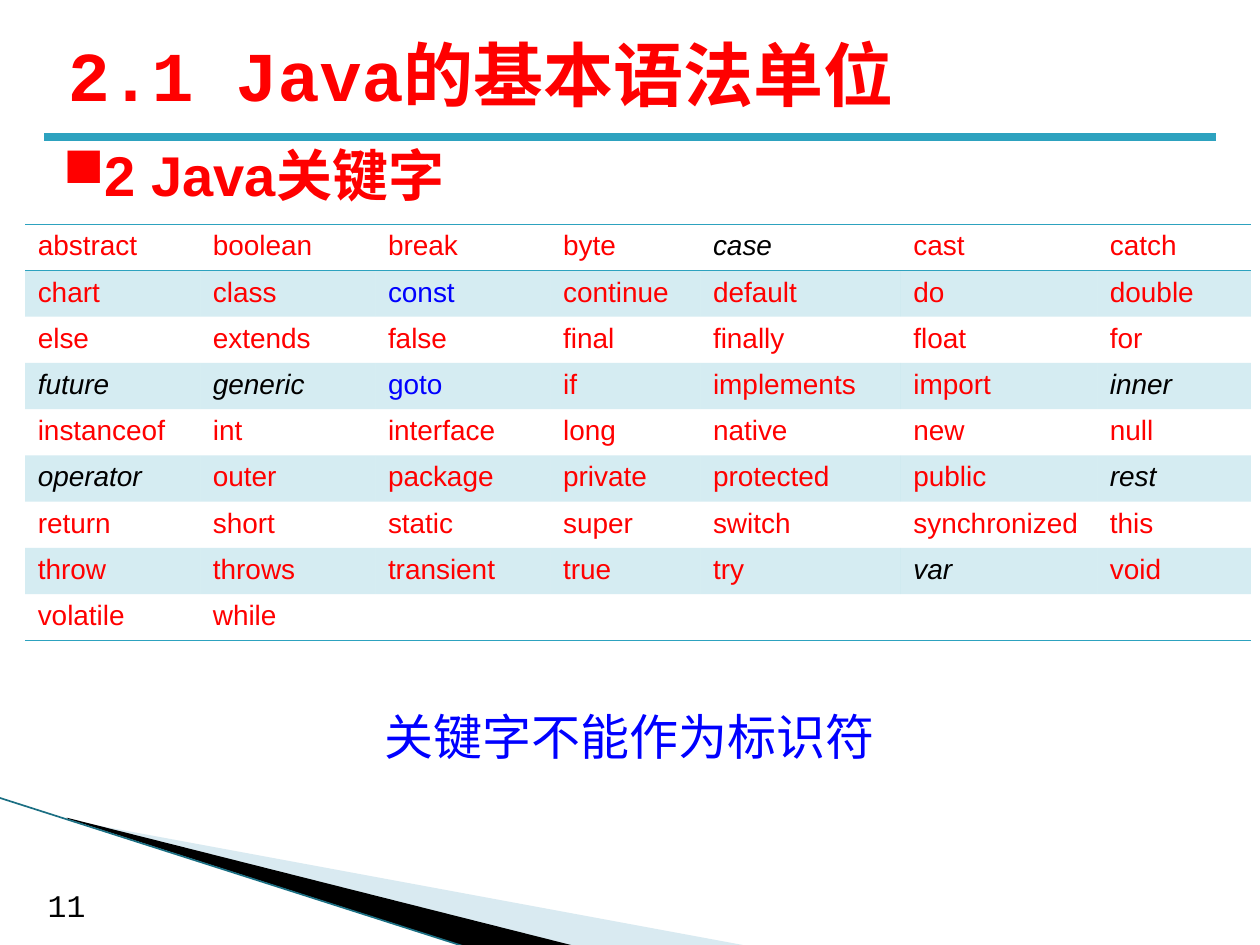
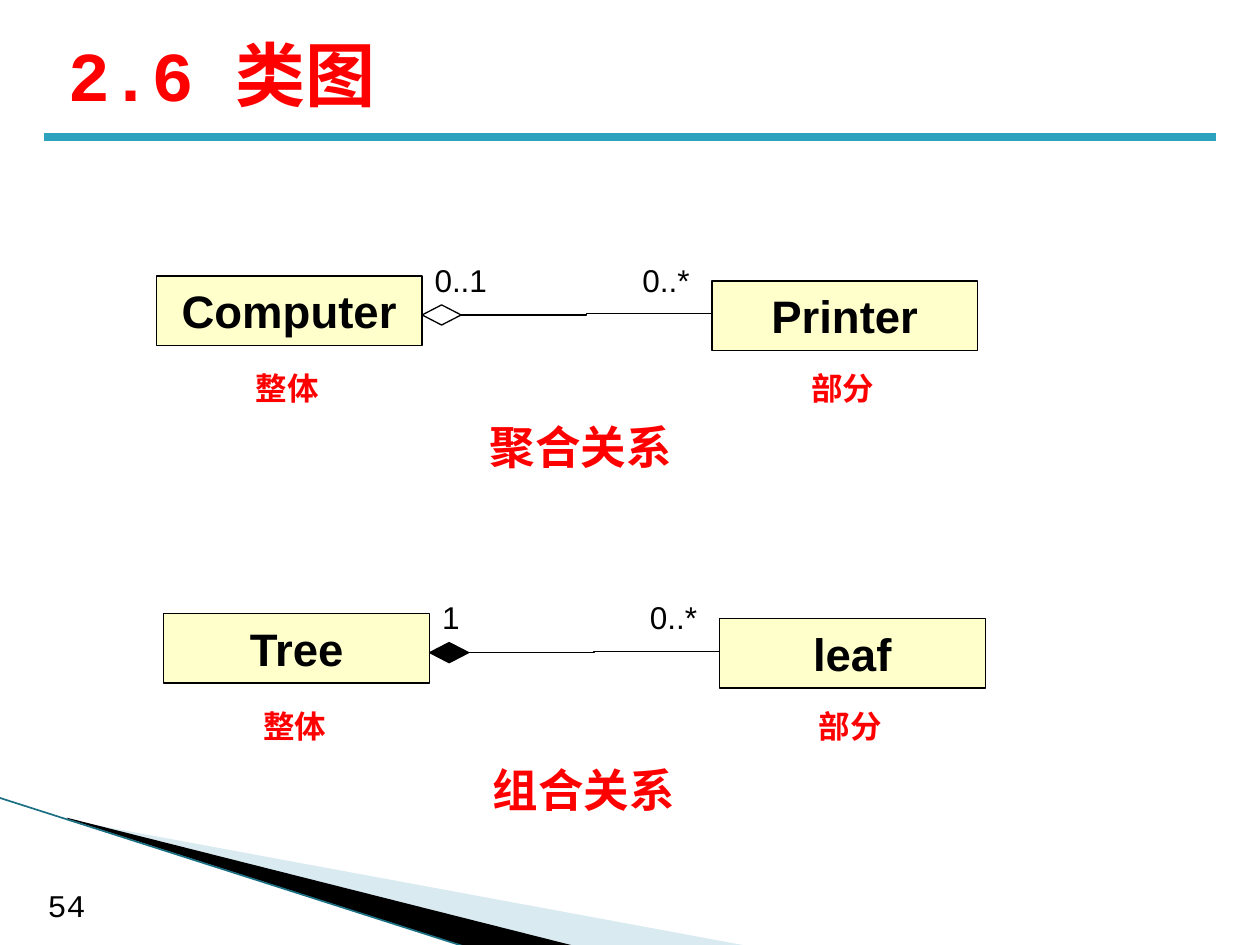
from lxml import etree
from pptx import Presentation
from pptx.dml.color import RGBColor
from pptx.enum import shapes, text
from pptx.oxml import ns
from pptx.util import Inches, Pt

RED, BLUE, BLACK, WHITE = "FF0000", "0000FF", "000000", "FFFFFF"
TEAL, DARK_TEAL, PALE_BLUE, CREAM = "2DA2BF", "1B6F83", "A0CBDC", "FFFFCC"
SANS, MONO = "Arial", "Courier New"
LEFT, CENTER = text.PP_ALIGN.LEFT, text.PP_ALIGN.CENTER
PLAIN_TABLE = "{2D5ABB26-0587-4C30-8999-92F81FD0307C}"

KEYWORDS = """
abstract boolean break byte case cast catch
chart class const continue default do double
else extends false final finally float for
future generic goto if implements import inner
instanceof int interface long native new null
operator outer package private protected public rest
return short static super switch synchronized this
throw throws transient true try var void
volatile while
"""
ITALIC_WORDS = {"case", "future", "generic", "inner", "operator", "rest", "var"}
BLUE_WORDS = {"const", "goto"}
COLUMN_WIDTHS = [1.39, 1.39, 1.39, 1.19, 1.59, 1.56, 1.22]


def color(value):
    return RGBColor.from_string(value)


def add_element(parent, tag, **attributes):
    return etree.SubElement(parent, ns.qn(tag), attributes)


def set_opacity(properties, percent):
    swatch = properties.find(ns.qn("a:solidFill")).find(ns.qn("a:srgbClr"))
    add_element(swatch, "a:alpha", val=str(percent * 1000))


class Deck:
    def __init__(self):
        self.presentation = Presentation()
        self.presentation.slide_width = Inches(10)
        self.presentation.slide_height = Inches(7.5)
        self.slide = None

    def new_slide(self, title, number):
        """Start a slide with the shared corner, rule, number and title."""
        self.slide = self.presentation.slides.add_slide(
            self.presentation.slide_layouts[6])
        self.wedge([(0.55, 6.51), (5.95, 7.51), (4.56, 7.51), (0.55, 6.5)],
                   PALE_BLUE, 40)
        self.wedge([(0.53, 6.49), (4.57, 7.51), (3.72, 7.52), (0.54, 6.5)], BLACK)
        self.line((-0.01, 6.33), (3.71, 7.52), DARK_TEAL, 0.95)
        self.line((0.35, 1.09), (9.65, 1.09), TEAL, 4.5)
        self.text_box(number, (0.28, 6.98, 0.79, 0.4), 18, BLACK, font=MONO)
        self.text_box(title, (0.44, 0.16, 9, 0.85), 40, RED, font=MONO, bold=True,
                      anchor=text.MSO_ANCHOR.MIDDLE)

    def paint(self, target, fill):
        target.fill.solid()
        target.fill.fore_color.rgb = color(fill)

    def set_text(self, paragraph, words, size, ink, font=SANS, bold=False,
                 italic=False, align=LEFT):
        paragraph.text = words
        paragraph.alignment = align
        style = paragraph.font
        style.name, style.size = font, Pt(size)
        style.bold, style.italic = bold, italic
        style.color.rgb = color(ink)

    def text_box(self, words, box, size, ink, anchor=text.MSO_ANCHOR.TOP,
                 bullet=None, **style):
        frame = self.slide.shapes.add_textbox(*map(Inches, box)).text_frame
        frame.word_wrap = True
        frame.vertical_anchor = anchor
        paragraph = frame.paragraphs[0]
        if bullet:
            add_element(paragraph._p.get_or_add_pPr(), "a:buChar", char=bullet)
        self.set_text(paragraph, words, size, ink, **style)

    def wedge(self, points, fill, opacity=100):
        corners = [tuple(map(Inches, point)) for point in points]
        builder = self.slide.shapes.build_freeform(*corners[0], scale=1.0)
        builder.add_line_segments(corners[1:])
        shape = builder.convert_to_shape()
        shape.shadow.inherit = False
        self.paint(shape, fill)
        set_opacity(shape._element.spPr, opacity)
        shape.line.fill.background()

    def line(self, start, end, ink, width, kind=shapes.MSO_CONNECTOR.STRAIGHT):
        connector = self.slide.shapes.add_connector(
            kind, *map(Inches, start + end))
        connector.line.color.rgb = color(ink)
        connector.line.width = Pt(width)
        add_element(connector._element.spPr, "a:effectLst")

    def shape(self, preset, box, fill, words=""):
        shape = self.slide.shapes.add_shape(preset, *map(Inches, box))
        shape.shadow.inherit = False
        self.paint(shape, fill)
        shape.line.color.rgb = color(BLACK)
        shape.line.width = Pt(0.75)
        if words:
            shape.text_frame.vertical_anchor = text.MSO_ANCHOR.MIDDLE
            self.set_text(shape.text_frame.paragraphs[0], words, 26, BLACK,
                          bold=True, align=CENTER)

    def cell_border(self, cell, tag):
        border = etree.Element(ns.qn(tag), w=str(int(Pt(1))))
        fill = add_element(border, "a:solidFill")
        add_element(fill, "a:srgbClr", val=TEAL)
        cell._tc.get_or_add_tcPr().insert(0, border)

    def keyword_table(self, rows, box):
        table = self.slide.shapes.add_table(
            len(rows), len(COLUMN_WIDTHS), *map(Inches, box)).table
        table.first_row = table.horz_banding = False
        table._tbl.tblPr.find(ns.qn("a:tableStyleId")).text = PLAIN_TABLE
        for column, width in zip(table.columns, COLUMN_WIDTHS):
            column.width = Inches(width)
        for r, words in enumerate(rows):
            for c in range(len(COLUMN_WIDTHS)):
                cell = table.cell(r, c)
                word = words[c] if c < len(words) else ""
                italic = word in ITALIC_WORDS
                ink = BLACK if italic else BLUE if word in BLUE_WORDS else RED
                paragraph = cell.text_frame.paragraphs[0]
                self.set_text(paragraph, word, 16, ink, italic=italic)
                if not word:
                    add_element(paragraph._p, "a:endParaRPr", sz="1600")
                if r % 2:
                    self.paint(cell, TEAL)
                    set_opacity(cell._tc.tcPr, 20)
                else:
                    cell.fill.background()
                if r in (0, len(rows) - 1):
                    self.cell_border(cell, "a:lnB")
                if r == 0:
                    self.cell_border(cell, "a:lnT")

    def relation(self, x, y, whole, part, whole_count, diamond_fill):
        """Draw two class boxes joined by a diamond-ended line."""
        part_x, diamond_x = x + 4.41, x + 2.11
        rectangle = shapes.MSO_SHAPE.RECTANGLE
        self.shape(rectangle, (x, y, 2.11, 0.55), CREAM, whole)
        self.shape(rectangle, (part_x, y + 0.04, 2.11, 0.55), CREAM, part)
        self.shape(shapes.MSO_SHAPE.DIAMOND, (diamond_x, y + 0.23, 0.31, 0.16),
                   diamond_fill)
        self.line((diamond_x + 0.31, y + 0.31), (part_x, y + 0.3), BLACK, 0.75,
                  shapes.MSO_CONNECTOR.ELBOW)
        for count, left in ((whole_count, diamond_x), ("0..*", x + 3.76)):
            self.text_box(count, (left, y - 0.17, 0.71, 0.4), 18, BLACK)
        for role, left in (("整体", x), ("部分", part_x)):
            self.text_box(role, (left + 0.29, y + 0.69, 1.5, 0.4), 18, RED,
                          bold=True, align=CENTER)


def main():
    deck = Deck()

    # Keywords
    deck.new_slide("2.1 Java的基本语法单位", "11")
    deck.text_box("2 Java关键字", (0.4, 1.07, 9.29, 0.64), 32, RED,
                  bold=True, bullet="■")
    rows = [row.split() for row in KEYWORDS.strip().splitlines()]
    deck.keyword_table(rows, (0.2, 1.78, sum(COLUMN_WIDTHS), 3.3))
    deck.text_box("关键字不能作为标识符", (2.87, 5.56, 4.25, 0.57), 28, BLUE,
                  font=MONO, align=CENTER)

    # Class diagrams
    deck.new_slide("2.6 类图", "54")
    deck.relation(1.24, 2.19, "Computer", "Printer", "0..1", WHITE)
    deck.relation(1.3, 4.87, "Tree", "leaf", "1", BLACK)
    for caption, box in (("聚合关系", (3.35, 3.28, 2.52, 0.54)),
                         ("组合关系", (3.64, 6, 1.99, 0.54))):
        deck.text_box(caption, box, 26, RED, bold=True, align=CENTER)

    deck.presentation.save("out.pptx")


if __name__ == "__main__":
    main()
